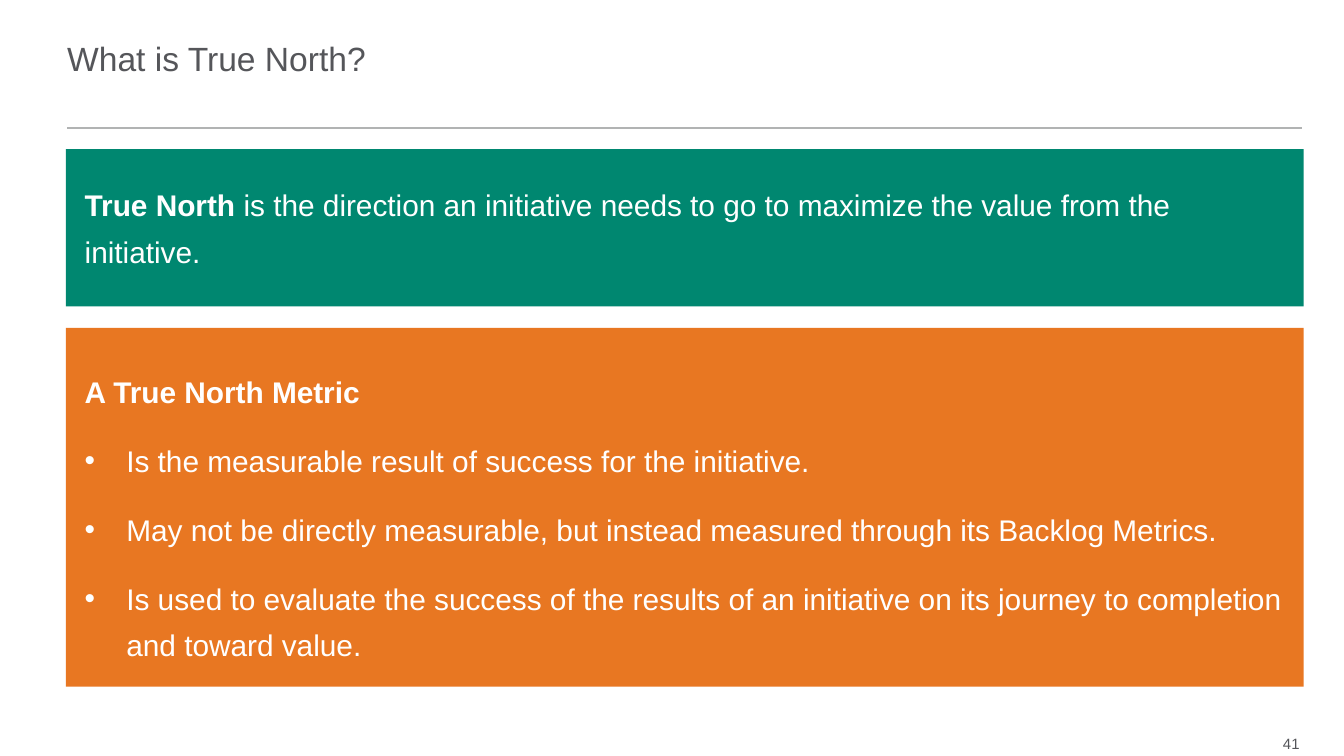
from dataclasses import dataclass

from lxml import etree
from pptx import Presentation
from pptx.dml.color import RGBColor
from pptx.enum.shapes import MSO_CONNECTOR, MSO_SHAPE
from pptx.enum.text import MSO_ANCHOR as Anchor, MSO_AUTO_SIZE as AutoSize, PP_ALIGN as Align
from pptx.oxml.ns import qn
from pptx.util import Inches, Pt


@dataclass(frozen=True)
class Theme:
    font: str = "Arial"
    ink: str = "55565A"
    rule: str = "B1B3B3"
    light: str = "FFFFFF"
    definition: str = "008770"
    metric: str = "E87722"
    title_size: int = 18
    body_size: int = 16
    number_size: int = 8


THEME = Theme()
PANEL_INSETS = (0.14, 0.2, 0.14, 0.12)
INDENT = 0.31


def color(code):
    return RGBColor.from_string(code)


def place(part, box):
    part.left, part.top, part.width, part.height = map(Inches, box)


def prepare_frame(frame, insets=(0, 0, 0, 0), anchor=Anchor.MIDDLE, wrap=True):
    frame.auto_size = AutoSize.NONE
    frame.word_wrap = wrap
    frame.vertical_anchor = anchor
    frame.margin_left, frame.margin_top, frame.margin_right, frame.margin_bottom = map(Inches, insets)


def write(paragraph, text, *, size, ink, bold=False, align=Align.LEFT,
          spacing=None, before=None, bullet=None):
    run = paragraph.add_run()
    run.text = text
    run.font.name = THEME.font
    run.font.size = Pt(size)
    run.font.bold = bold
    run.font.color.rgb = color(ink)
    paragraph.alignment = align
    if spacing is not None:
        paragraph.line_spacing = spacing
    if before is not None:
        paragraph.space_before = Pt(before)
    if bullet is not None:
        set_bullet(paragraph, bullet)


def set_bullet(paragraph, bullet):
    properties = paragraph._p.get_or_add_pPr()
    indent = Inches(INDENT) if bullet else 0
    properties.set("marL", str(indent))
    properties.set("indent", str(-indent))
    if bullet:
        etree.SubElement(properties, qn("a:buFont")).set("typeface", THEME.font)
        etree.SubElement(properties, qn("a:buChar")).set("char", bullet)
    else:
        etree.SubElement(properties, qn("a:buNone"))


def write_panel(paragraph, text, **formatting):
    write(paragraph, text, size=THEME.body_size, ink=THEME.light,
          spacing=1.3, before=12, **formatting)


def fill_panel(panel, fill):
    panel.fill.solid()
    panel.fill.fore_color.rgb = color(fill)
    panel.line.fill.background()


def build_header(slide, box, heading):
    left, top, width, height = box
    title = slide.shapes.title
    place(title, (left, top, 7.33, 0.73))
    prepare_frame(title.text_frame)
    write(title.text_frame.paragraphs[0], heading, size=THEME.title_size, ink=THEME.ink)

    rule_y = Inches(top + height)
    rule = slide.shapes.add_connector(
        MSO_CONNECTOR.STRAIGHT, Inches(left), rule_y, Inches(left + width), rule_y)
    rule.line.color.rgb = color(THEME.rule)
    rule.line.width = Pt(1)
    etree.SubElement(rule._element.spPr, qn("a:effectLst"))


def build_definition(slide, box, term, meaning):
    definition = slide.shapes.add_shape(MSO_SHAPE.RECTANGLE, *map(Inches, box))
    definition.shadow.inherit = False
    fill_panel(definition, THEME.definition)
    prepare_frame(definition.text_frame, PANEL_INSETS, Anchor.TOP)
    sentence = definition.text_frame.paragraphs[0]
    write_panel(sentence, term, bold=True)
    write_panel(sentence, meaning)


def build_metric(slide, box, heading, traits):
    metric = slide.placeholders[1]
    place(metric, box)
    fill_panel(metric, THEME.metric)
    frame = metric.text_frame
    prepare_frame(frame, PANEL_INSETS)
    write_panel(frame.paragraphs[0], heading, bold=True, bullet="")
    for trait in traits:
        write_panel(frame.add_paragraph(), trait, bullet="•")


def build_page_number(slide, box, number):
    page_number = slide.shapes.add_textbox(*map(Inches, box))
    prepare_frame(page_number.text_frame, wrap=False)
    write(page_number.text_frame.paragraphs[0], number,
          size=THEME.number_size, ink=THEME.ink, align=Align.RIGHT)


def main():
    deck = Presentation()
    deck.slide_width = Inches(10)
    deck.slide_height = deck.slide_width * 9 // 16
    slide = deck.slides.add_slide(deck.slide_layouts[1])

    build_header(slide, (0.5, 0.07, 9.19, 0.88), "What is True North?")
    build_metric(slide, (0.49, 2.44, 9.21, 2.67), "A True North Metric", [
        "Is the measurable result of success for the initiative.",
        "May not be directly measurable, but instead measured through its Backlog Metrics.",
        "Is used to evaluate the success of the results of an initiative "
        "on its journey to completion and toward value.",
    ])
    build_definition(
        slide, (0.49, 1.11, 9.21, 1.17), "True North ",
        "is the direction an initiative needs to go to maximize the value from the initiative.")
    build_page_number(slide, (9.25, 5.43, 0.42, 0.2), "41")
    deck.save("out.pptx")


if __name__ == "__main__":
    main()
